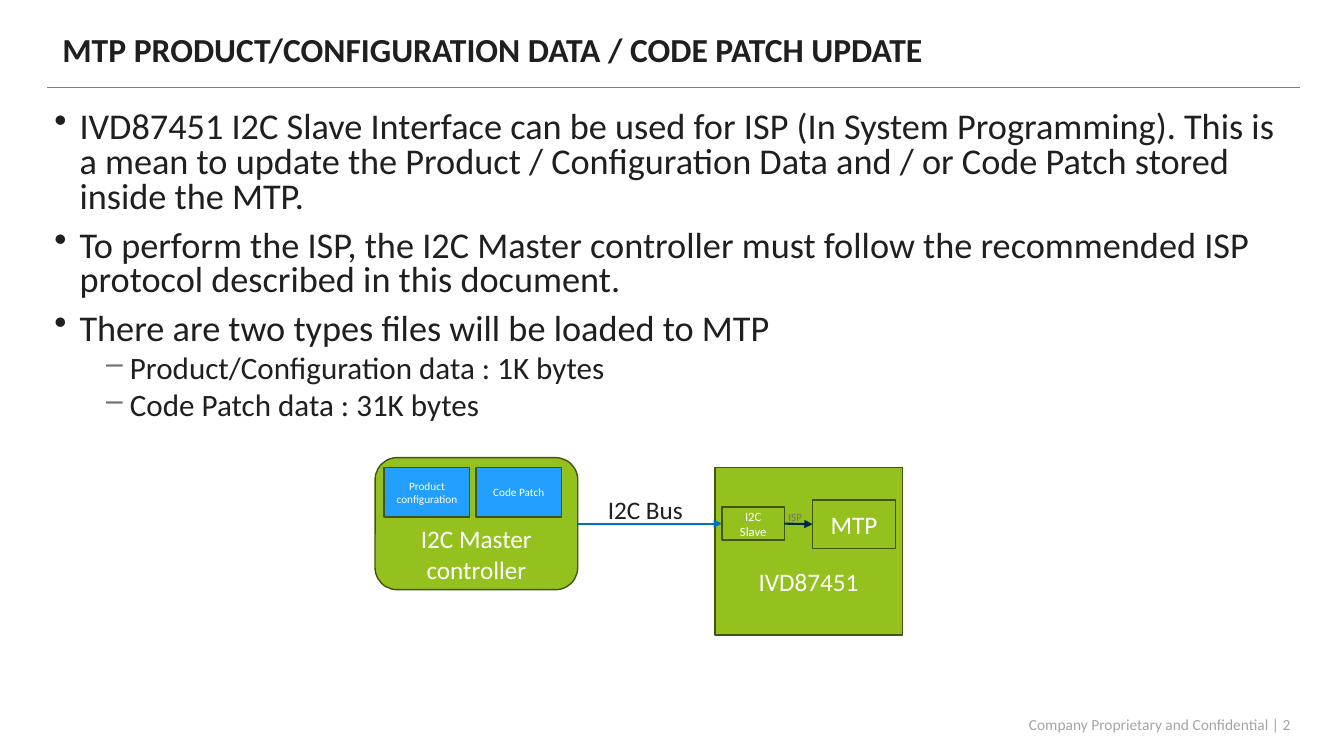
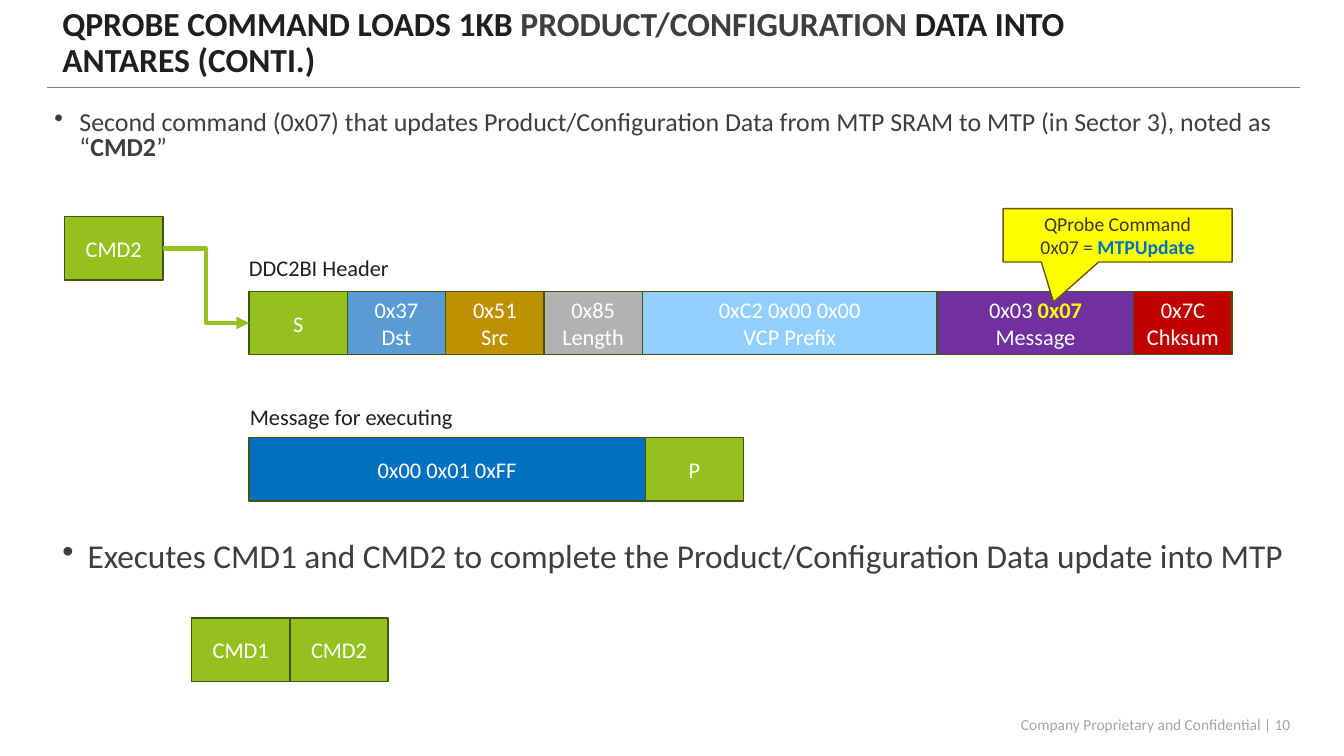
from lxml import etree
from pptx import Presentation
from pptx.dml.color import RGBColor
from pptx.enum.shapes import MSO_CONNECTOR, MSO_SHAPE
from pptx.enum.text import MSO_ANCHOR, PP_ALIGN
from pptx.oxml.ns import qn
from pptx.util import Inches, Pt

FONT = "Calibri"
INK = RGBColor(0x20, 0x1F, 0x1F)
CHARCOAL = RGBColor(0x3F, 0x3E, 0x3E)
CALLOUT_INK = RGBColor(0x3A, 0x38, 0x38)
GRAY = RGBColor(0x75, 0x70, 0x70)
RULE_GRAY = RGBColor(0x7F, 0x7E, 0x7E)
FOOTER_GRAY = RGBColor(0xA6, 0xA4, 0xA4)
LENGTH_GRAY = RGBColor(0xB3, 0xB1, 0xB1)
WHITE = RGBColor(0xFF, 0xFF, 0xFF)
GREEN = RGBColor(0x95, 0xC1, 0x1F)
DARK_GREEN = RGBColor(0x41, 0x55, 0x0E)
FILE_BLUE = RGBColor(0x23, 0x9F, 0xFF)
BLUE = RGBColor(0x00, 0x70, 0xC0)
NAVY = RGBColor(0x00, 0x28, 0x47)
STEEL_BLUE = RGBColor(0x5B, 0x9B, 0xD5)
PALE_BLUE = RGBColor(0x91, 0xCF, 0xFF)
OCHRE = RGBColor(0xBF, 0x90, 0x00)
PURPLE = RGBColor(0x70, 0x30, 0xA0)
RED = RGBColor(0xC0, 0x00, 0x00)
YELLOW = RGBColor(0xFF, 0xFF, 0x00)
DARK_YELLOW = RGBColor(0x70, 0x54, 0x00)

TOP, LEFT, BOTTOM, RIGHT = range(4)
PACKET_LEFT = 2.47
CELL_WIDTH = 9.75 / 10  # the packet spans ten cells
CELL_HEIGHT = 0.63


def write_lines(text_frame, lines, size, color, bold=False, align=PP_ALIGN.LEFT):
    """Write one paragraph per line; a line is a string or a list of (text, color, bold)."""
    for index, line in enumerate(lines):
        paragraph = text_frame.paragraphs[0] if index == 0 else text_frame.add_paragraph()
        paragraph.alignment = align
        pieces = [(line, color, bold)] if isinstance(line, str) else line
        for text, piece_color, piece_bold in pieces:
            run = paragraph.add_run()
            run.text = text
            run.font.name = FONT
            run.font.size = Pt(size)
            run.font.bold = piece_bold
            run.font.color.rgb = piece_color


def add_text(slide, position, lines, size, color=INK, bold=False,
             align=PP_ALIGN.LEFT, anchor=MSO_ANCHOR.TOP, wrap=True):
    text_frame = slide.shapes.add_textbox(*map(Inches, position)).text_frame
    text_frame.word_wrap = wrap
    text_frame.vertical_anchor = anchor
    write_lines(text_frame, lines, size, color, bold, align)
    return text_frame


def set_bullet(paragraph, character, indent, color=None):
    properties = paragraph._p.get_or_add_pPr()
    properties.set("marL", str(Inches(indent)))
    properties.set("indent", str(Inches(-0.25)))
    if color is not None:
        bullet_color = etree.SubElement(properties, qn("a:buClr"))
        etree.SubElement(bullet_color, qn("a:srgbClr")).set("val", str(color))
    etree.SubElement(properties, qn("a:buChar")).set("char", character)


def add_bullets(slide, position, lines, size, color, sub_lines=(), sub_size=None):
    text_frame = add_text(slide, position, [*lines, *sub_lines], size, color)
    for index, paragraph in enumerate(text_frame.paragraphs):
        paragraph.line_spacing = 0.8
        if index < len(lines):
            paragraph.space_before = Pt(10 if index else 0)
            set_bullet(paragraph, "•", 0.25)
        else:
            paragraph.level = 1
            paragraph.space_before = Pt(5)
            set_bullet(paragraph, "‒", 0.75, GRAY)
            for run in paragraph.runs:
                run.font.size = Pt(sub_size)


def add_box(slide, position, lines, size=16, fill=GREEN, outline=DARK_GREEN,
            color=WHITE, kind=MSO_SHAPE.RECTANGLE, top_margin=0.05):
    shape = slide.shapes.add_shape(kind, *map(Inches, position))
    shape.shadow.inherit = False
    shape.fill.solid()
    shape.fill.fore_color.rgb = fill
    shape.line.color.rgb = outline
    shape.line.width = Pt(1)
    text_frame = shape.text_frame
    text_frame.word_wrap = True
    text_frame.vertical_anchor = MSO_ANCHOR.MIDDLE
    text_frame.margin_top = Inches(top_margin)
    write_lines(text_frame, lines, size, color, align=PP_ALIGN.CENTER)
    return shape


def add_row(slide, left, top, fields):
    """Set adjoining boxes side by side from (lines, fill, width) and return them."""
    boxes = []
    for lines, fill, width in fields:
        boxes.append(add_box(slide, (left, top, width, CELL_HEIGHT), lines, fill=fill))
        left += width
    return boxes


def add_line(slide, start, end, color, width, kind=MSO_CONNECTOR.STRAIGHT):
    connector = slide.shapes.add_connector(kind, *map(Inches, (*start, *end)))
    connector.line.color.rgb = color
    connector.line.width = Pt(width)
    etree.SubElement(connector._element.spPr, qn("a:effectLst"))
    return connector


def add_arrow(slide, source, target, color, width, kind=MSO_CONNECTOR.STRAIGHT):
    """Join the right side of source to the left side of target."""
    connector = add_line(slide, (0, 0), (0, 0), color, width, kind)
    connector.begin_connect(source, RIGHT)
    connector.end_connect(target, LEFT)
    etree.SubElement(connector.line._get_or_add_ln(), qn("a:tailEnd")).set("type", "triangle")


def add_framed_slide(presentation, title, title_top, title_height, number):
    """Add a slide with its title, header rule and footer."""
    slide = presentation.slides.add_slide(presentation.slide_layouts[6])
    add_line(slide, (0.47, 0.87), (12.89, 0.87), RULE_GRAY, 1)
    add_text(slide, (8.35, 7.06, 4.55, 0.26),
             [f"Company Proprietary and Confidential | {number}"], 11, FOOTER_GRAY,
             align=PP_ALIGN.RIGHT, anchor=MSO_ANCHOR.MIDDLE)
    title_frame = add_text(slide, (0.52, title_top, 11.07, title_height), [title], 24,
                           bold=True, anchor=MSO_ANCHOR.MIDDLE)
    title_frame.paragraphs[0].line_spacing = 0.9
    return slide


def build_update_slide(presentation):
    slide = add_framed_slide(
        presentation, "MTP PRODUCT/CONFIGURATION DATA / CODE PATCH UPDATE", 0.24, 0.54, 2)
    add_bullets(
        slide, (0.44, 1.06, 12.41, 3.2),
        ["IVD87451 I2C Slave Interface can be used for ISP (In System Programming). This is "
         "a mean to update the Product / Configuration Data and / or Code Patch stored "
         "inside the MTP.",
         "To perform the ISP, the I2C Master controller must follow the recommended ISP "
         "protocol described in this document.",
         "There are two types files will be loaded to MTP"],
        25.9, INK,
        ["Product/Configuration data : 1K bytes", "Code Patch data : 31K bytes"], 22.2)

    add_box(slide, (7.09, 4.64, 1.86, 1.66), ["IVD87451"], 18, top_margin=0.65)
    master = add_box(slide, (3.72, 4.54, 2.01, 1.31), ["I2C Master", "controller"], 18,
                     kind=MSO_SHAPE.ROUNDED_RECTANGLE, top_margin=0.65)
    for left, label in ((3.81, "Product configuration"), (4.72, "Code Patch")):
        add_box(slide, (left, 4.64, 0.85, 0.49), [label], 8, FILE_BLUE)
    memory = add_box(slide, (8.06, 4.96, 0.82, 0.48), ["MTP"], 18)
    slave = add_box(slide, (7.16, 5.03, 0.62, 0.33), ["I2C Slave"], 9)
    add_arrow(slide, master, slave, BLUE, 1.5)
    add_text(slide, (5.93, 4.85, 0.95, 0.4), ["I2C Bus"], 18, wrap=False)
    add_arrow(slide, slave, memory, NAVY, 1.5)
    add_text(slide, (7.72, 5.01, 0.58, 0.24), ["ISP"], 8, GRAY)


def build_command_slide(presentation):
    title = [("QPROBE COMMAND LOADS 1KB ", INK, True),
             ("PRODUCT/CONFIGURATION ", CHARCOAL, True),
             ("DATA INTO ANTARES (CONTI.)", INK, True)]
    slide = add_framed_slide(presentation, title, 0.1, 0.67, 10)
    add_bullets(
        slide, (0.44, 1.06, 12.44, 0.67),
        [[("Second command (0x07) that updates Product/Configuration Data from MTP SRAM "
           "to MTP (in Sector 3), noted as “", CHARCOAL, False),
          ("CMD2", CHARCOAL, True), ("”", CHARCOAL, False)]],
        18.5, CHARCOAL)

    command = add_box(slide, (0.64, 2.15, CELL_WIDTH, CELL_HEIGHT), ["CMD2"])
    add_text(slide, (2.37, 2.47, 1.61, 0.37), ["DDC2BI Header"], 16, wrap=False)
    message = [("0x03 ", WHITE, False), ("0x07", YELLOW, True)]
    header_fields = add_row(slide, PACKET_LEFT, 2.89, [
        (["S"], GREEN, CELL_WIDTH),
        (["0x37", "Dst"], STEEL_BLUE, CELL_WIDTH),
        (["0x51", "Src"], OCHRE, CELL_WIDTH),
        (["0x85", "Length"], LENGTH_GRAY, CELL_WIDTH),
        (["0xC2 0x00 0x00", "VCP Prefix"], PALE_BLUE, 3 * CELL_WIDTH),
        ([message, "Message"], PURPLE, 2 * CELL_WIDTH),
        (["0x7C", "Chksum"], RED, CELL_WIDTH),
    ])
    add_arrow(slide, command, header_fields[0], GREEN, 3, MSO_CONNECTOR.ELBOW)
    callout = add_box(
        slide, (9.95, 2.07, 2.27, 0.53),
        ["QProbe Command", [("0x07 = ", CALLOUT_INK, False), ("MTPUpdate", BLUE, True)]],
        14, YELLOW, DARK_YELLOW, CALLOUT_INK, MSO_SHAPE.RECTANGULAR_CALLOUT)
    callout.adjustments[0] = -0.28
    callout.adjustments[1] = 1.25

    add_text(slide, (2.38, 3.95, 2.24, 0.37), ["Message for executing"], 16, wrap=False)
    add_row(slide, PACKET_LEFT, 4.34,
            [(["0x00 0x01 0xFF"], BLUE, 3.93), (["P"], GREEN, CELL_WIDTH)])

    add_bullets(
        slide, (0.52, 5.34, 12.44, 0.59),
        ["Executes CMD1 and CMD2 to complete the Product/Configuration Data update into MTP"],
        23.8, CHARCOAL)
    add_row(slide, 1.9, 6.13,
            [([name], GREEN, CELL_WIDTH) for name in ("CMD1", "CMD2")])


def main():
    presentation = Presentation()
    presentation.slide_width = Inches(13.33)
    presentation.slide_height = Inches(7.5)
    build_update_slide(presentation)
    build_command_slide(presentation)
    presentation.save("out.pptx")


if __name__ == "__main__":
    main()
